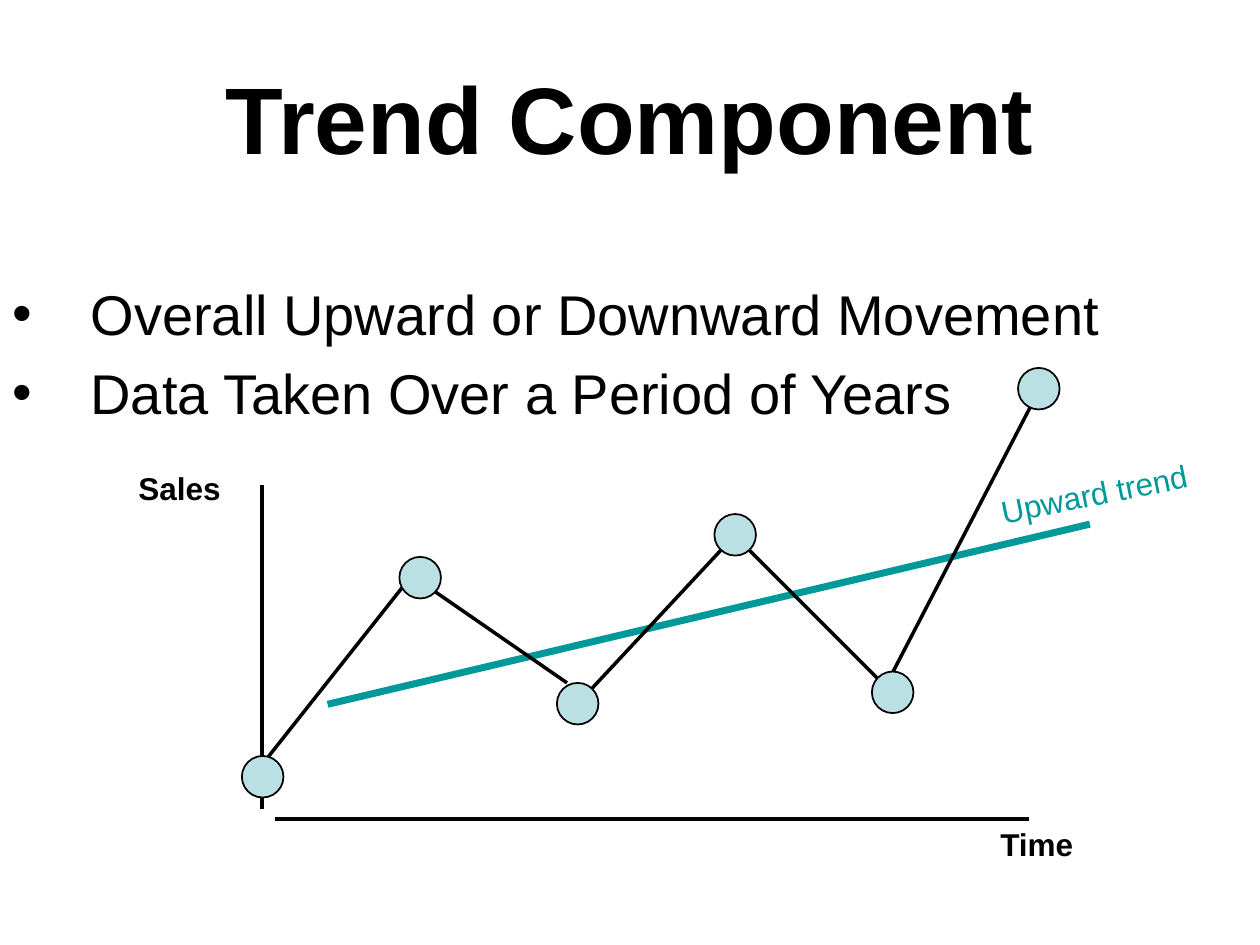
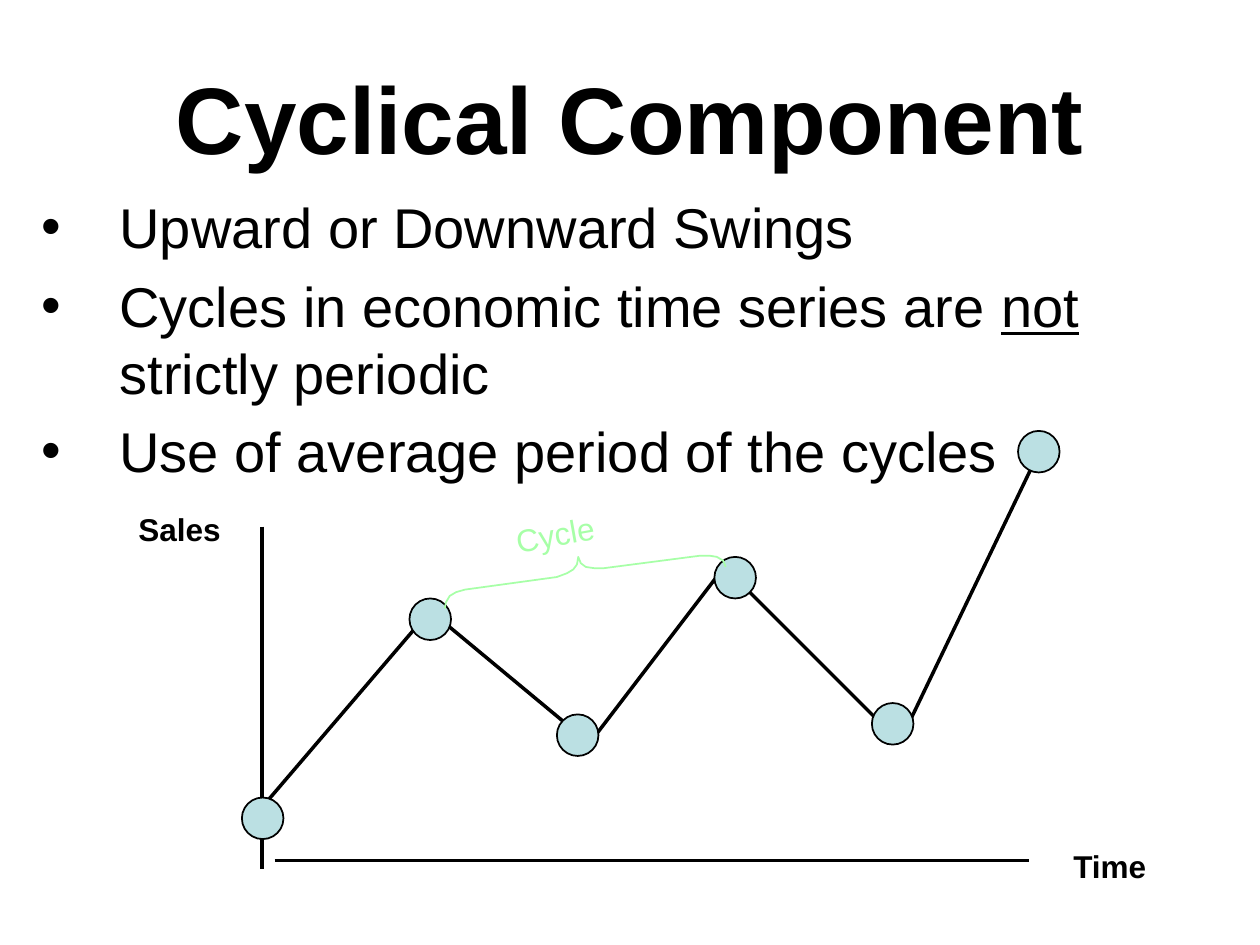
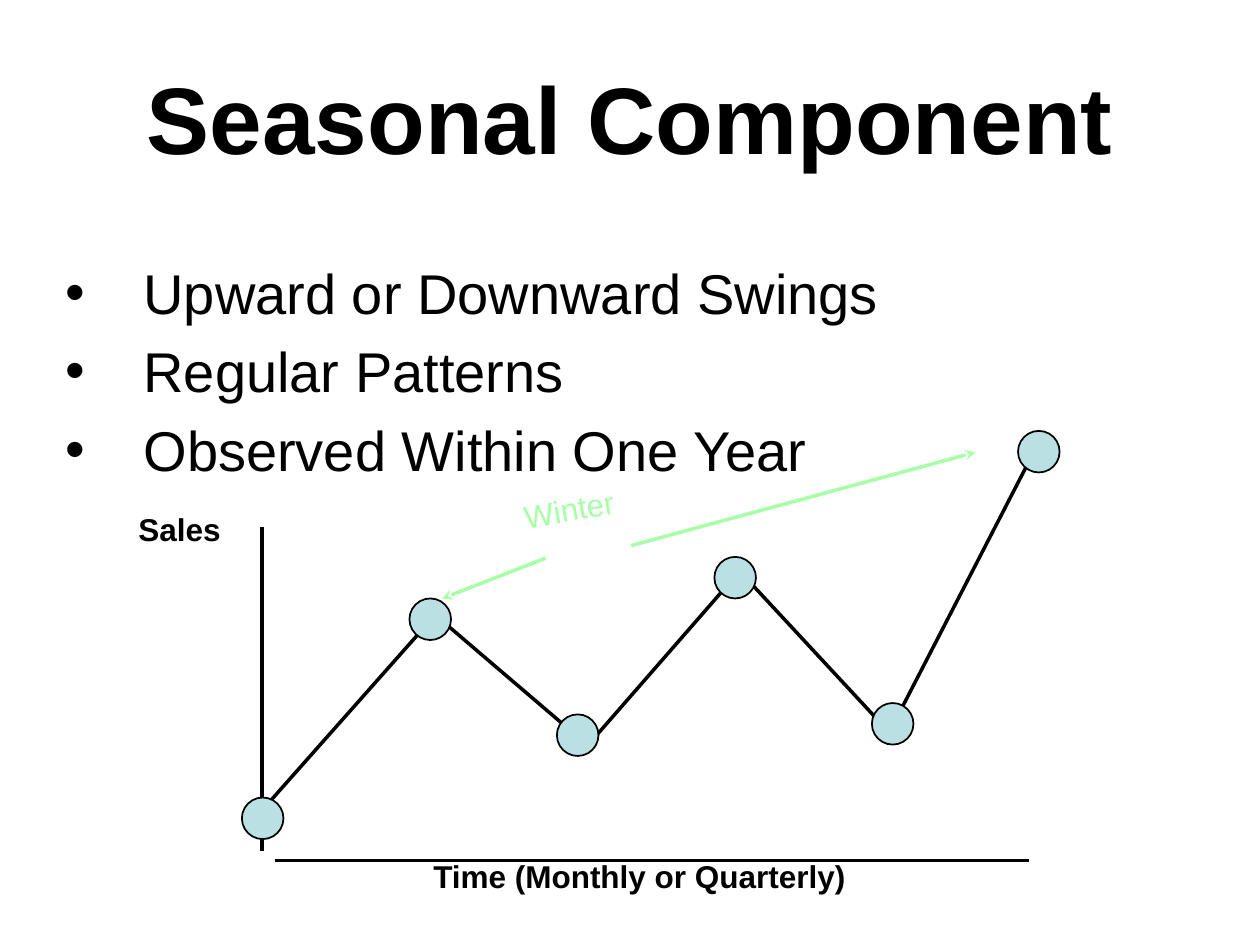
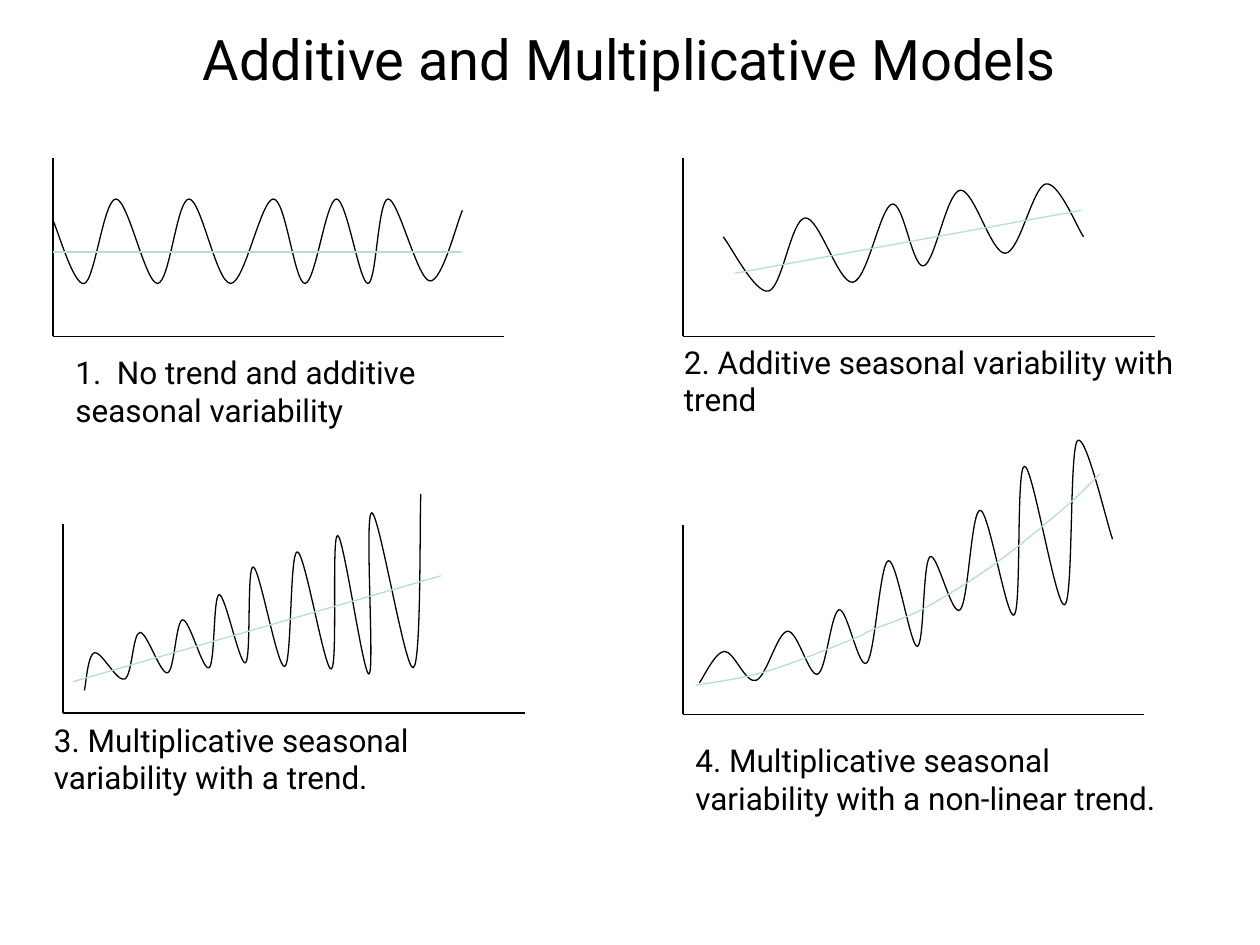
import dataclasses

import lxml.etree
import pptx
import pptx.dml.color
import pptx.enum.shapes
import pptx.enum.text
import pptx.oxml.ns
import pptx.util

PX = 9144  # EMU per px, 100 px to the inch
MARKER = 33
ALIGN = pptx.enum.text.PP_ALIGN
qn = pptx.oxml.ns.qn


@dataclasses.dataclass(frozen=True)
class Theme:
    ink: str = "000000"
    marker: str = "BBE0E3"
    trend: str = "009999"
    note: str = "A7FFA7"
    level: str = "B6DCDF"
    font: str = "Arial"
    model_font: str = "Roboto"
    title_size: int = 54
    body_size: int = 32
    label_size: int = 18
    thin: float = 0.75
    outline: float = 1
    medium: float = 2
    thick: float = 4


def emu(*lengths):
    return [round(length * PX) for length in lengths]


def rgb(color):
    return pptx.dml.color.RGBColor.from_string(color)


def child(parent, tag, **attributes):
    return lxml.etree.SubElement(parent, qn(tag), attributes)


def smooth(sp):
    """Bend each segment into a cubic whose tangents follow the neighbouring points."""
    path = next(sp._element.iter(qn("a:path")))
    points = [(int(pt.get("x")), int(pt.get("y"))) for pt in path.iter(qn("a:pt"))]
    last = len(points) - 1

    def control(i, side):
        before, after = points[max(i - 1, 0)], points[min(i + 1, last)]
        return [round(points[i][k] + side * (after[k] - before[k]) / 6) for k in (0, 1)]

    for segment in path.findall(qn("a:lnTo")):
        path.remove(segment)
    for i in range(last):
        curve = child(path, "a:cubicBezTo")
        for x, y in (control(i, 1), control(i + 1, -1), points[i + 1]):
            child(curve, "a:pt", x=str(x), y=str(y))


class Deck:
    def __init__(self, theme):
        self.theme = theme
        self.prs = pptx.Presentation()
        self.prs.slide_width, self.prs.slide_height = emu(1000, 750)
        self.s = None

    def run(self, p, text, size, color=None, bold=False, underline=None, font=None):
        r = p.add_run()
        r.text = text
        r.font.name = font or self.theme.font
        r.font.size = pptx.util.Pt(size)
        r.font.bold = bold
        r.font.underline = underline
        r.font.color.rgb = rgb(color or self.theme.ink)

    def slide(self, title, box, size, **style):
        self.s = self.prs.slides.add_slide(self.prs.slide_layouts[5])
        sp = self.s.shapes.title
        sp.left, sp.top, sp.width, sp.height = emu(*box)
        tf = sp.text_frame
        tf.auto_size = pptx.enum.text.MSO_AUTO_SIZE.NONE
        tf.vertical_anchor = pptx.enum.text.MSO_ANCHOR.MIDDLE
        p = tf.paragraphs[0]
        p.alignment = ALIGN.CENTER
        self.run(p, title, size, **style)

    def text_box(self, box):
        sp = self.s.shapes.add_textbox(*emu(*box))
        sp.text_frame.word_wrap = True
        return sp

    def label(self, text, box, rotation=0, align=ALIGN.LEFT, **style):
        sp = self.text_box(box)
        sp.rotation = rotation
        sp.text_frame.auto_size = pptx.enum.text.MSO_AUTO_SIZE.SHAPE_TO_FIT_TEXT
        p = sp.text_frame.paragraphs[0]
        p.alignment = align
        self.run(p, text, self.theme.label_size, **style)

    def bullets(self, items, box):
        """Each item is a tuple of runs; every second run is underlined."""
        tf = self.text_box(box).text_frame
        indent = emu(62)[0]
        for i, runs in enumerate(items):
            p = tf.paragraphs[0] if i == 0 else tf.add_paragraph()
            p.space_before = pptx.util.Pt(0.2 * self.theme.body_size)
            pPr = p._p.get_or_add_pPr()
            pPr.set("marL", str(indent))
            pPr.set("indent", str(-indent))
            child(pPr, "a:buFont", typeface=self.theme.font)
            child(pPr, "a:buChar", char="•")
            for n, text in enumerate(runs):
                self.run(p, text, self.theme.body_size, underline=True if n % 2 else None)

    def line(self, start, end, color=None, width=None, arrow=False):
        sp = self.s.shapes.add_connector(
            pptx.enum.shapes.MSO_CONNECTOR.STRAIGHT, *emu(*start, *end))
        sp.line.color.rgb = rgb(color or self.theme.ink)
        sp.line.width = pptx.util.Pt(width or self.theme.medium)
        spPr = sp._element.spPr
        if arrow:
            child(spPr.find(qn("a:ln")), "a:tailEnd", type="stealth")
        child(spPr, "a:effectLst")

    def marker(self, left, top):
        sp = self.s.shapes.add_shape(
            pptx.enum.shapes.MSO_SHAPE.OVAL, *emu(left, top, MARKER, MARKER))
        sp.shadow.inherit = False
        sp.fill.solid()
        sp.fill.fore_color.rgb = rgb(self.theme.marker)
        sp.line.color.rgb = rgb(self.theme.ink)
        sp.line.width = pptx.util.Pt(self.theme.outline)

    def outline(self, points, color=None, width=None):
        start, *rest = [emu(*point) for point in points]
        builder = self.s.shapes.build_freeform(*start)
        builder.add_line_segments(rest, close=False)
        sp = builder.convert_to_shape()
        sp.shadow.inherit = False
        sp.fill.background()
        sp.line.color.rgb = rgb(color or self.theme.ink)
        sp.line.width = pptx.util.Pt(width or self.theme.thin)
        return sp

    def component(self, title, items, body, axis, time, segments, markers, trend=None):
        """Slide with bullets above a sales chart; axis is the vertical span and the base line."""
        self.slide(title, (50, 30, 900, 125), self.theme.title_size, bold=True)
        self.bullets(items, body)
        top, bottom, base = axis
        self.line((208, top), (208, bottom))
        self.line((218, base), (817, base))
        self.label("Sales", (100, top - 18, 158, 50), bold=True)
        self.label(*time, bold=True)
        if trend:
            self.line(*trend, color=self.theme.trend, width=self.theme.thick)
        for start, end in segments:
            self.line(start, end)
        for left, top in markers:
            self.marker(left, top)

    def model(self, caption, box, origin, top, right, wave, level):
        """Small axes with a seasonal wave, its level line and a caption."""
        x, base = origin
        thin = self.theme.thin
        self.line((x, top), origin, width=thin)
        self.line(origin, (right, base), width=thin)
        smooth(self.outline(wave))
        if len(level) == 2:
            self.line(*level, color=self.theme.level, width=thin)
        else:
            smooth(self.outline(level, color=self.theme.level))
        self.label(caption, box, font=self.theme.model_font)


CYCLE_MARKERS = [(192, 633), (325, 475), (442, 567), (567, 442), (692, 558), (808, 342)]
BRACE = [(576, 450), (574, 445), (569, 442), (563, 441), (556, 441), (479, 451), (472, 451),
         (465, 450), (461, 447), (459, 442), (458, 448), (455, 452), (450, 455), (442, 458),
         (369, 468), (362, 470), (357, 473), (354, 478), (353, 483)]

MODELS = [
    dict(caption="1.  No trend and additive seasonal variability", box=(50, 275, 358, 71),
         origin=(42, 267), top=125, right=400, level=[(42, 200), (367, 200)],
         wave=[(42, 175), (67, 225), (92, 158), (125, 225), (150, 158), (183, 225), (217, 158),
               (242, 225), (267, 158), (292, 225), (308, 158), (341, 223), (367, 167)]),
    dict(caption="2. Additive seasonal variability with trend", box=(533, 267, 417, 71),
         origin=(542, 267), top=125, right=917, level=[(583, 217), (858, 167)],
         wave=[(574, 188), (610, 231), (639, 173), (677, 224), (708, 162), (733, 211),
               (762, 151), (798, 201), (830, 146), (860, 188)]),
    dict(caption="3. Multiplicative seasonal variability with a trend.", box=(33, 567, 408, 71),
         origin=(50, 566), top=416, right=417, level=[(58, 541), (350, 457)],
         wave=[(67, 548), (75, 518), (99, 539), (111, 502), (133, 534), (145, 492), (166, 530),
               (174, 472), (195, 526), (201, 450), (226, 529), (236, 438), (263, 531),
               (268, 425), (293, 535), (295, 407), (328, 530), (334, 392)]),
    dict(caption="4. Multiplicative seasonal variability with a non-linear trend.",
         box=(542, 583, 408, 71), origin=(542, 567), top=417, right=908,
         level=[(552, 544), (608, 533), (675, 508), (692, 500), (733, 483), (789, 448),
                (846, 402), (873, 376)],
         wave=[(555, 542), (575, 517), (600, 540), (625, 501), (649, 535), (666, 484),
               (688, 526), (705, 445), (728, 513), (738, 442), (762, 484), (778, 405),
               (805, 488), (813, 370), (845, 480), (855, 350), (883, 428)]),
]


def main():
    theme = Theme()
    deck = Deck(theme)

    deck.component(
        "Trend Component",
        [("Overall Upward or Downward Movement",), ("Data Taken Over a Period of Years",)],
        body=(0, 217, 958, 450), axis=(385, 642, 650), time=("Time", (784, 650, 158, 50)),
        segments=[((200, 617), (325, 459)), ((343, 468), (450, 542)), ((459, 558), (583, 425)),
                  ((593, 435), (700, 542)), ((700, 550), (825, 309))],
        markers=[(192, 600), (317, 442), (442, 542), (567, 408), (692, 533), (808, 292)],
        trend=((260, 559), (865, 416)))
    deck.label("Upward trend", (784, 367, 216, 50), rotation=348.7, color=theme.trend)

    deck.component(
        "Cyclical Component",
        [("Upward or Downward Swings",),
         ("Cycles in economic time series are ", "not", " strictly periodic"),
         ("Use of average period of the cycles",)],
        body=(23, 148, 958, 450), axis=(418, 690, 683), time=("Time", (842, 667, 158, 50)),
        segments=[((200, 650), (342, 484)), ((350, 492), (450, 575)), ((467, 591), (574, 451)),
                  ((593, 468), (700, 575)), ((717, 583), (825, 358))],
        markers=CYCLE_MARKERS)
    deck.outline(BRACE, color=theme.note, width=theme.outline)
    deck.label("Cycle", (400, 400, 125, 50), rotation=350, color=theme.note)

    deck.component(
        "Seasonal Component",
        [("Upward or Downward Swings",), ("Regular Patterns",), ("Observed Within One Year",)],
        body=(42, 200, 958, 450), axis=(418, 675, 683),
        time=("Time (Monthly or Quarterly)", (334, 675, 491, 50)),
        segments=[((209, 642), (342, 492)), ((350, 492), (467, 592)), ((467, 591), (583, 458)),
                  ((584, 450), (700, 575)), ((709, 575), (825, 350))],
        markers=CYCLE_MARKERS)
    deck.label("Winter", (367, 384, 171, 50), rotation=350, align=ALIGN.CENTER, color=theme.note)
    for start, end in [((433, 443), (351, 475)), ((501, 433), (774, 359))]:
        deck.line(start, end, color=theme.note, arrow=True)

    deck.slide("Additive and Multiplicative Models", (75, 0, 850, 92), theme.body_size,
               font=theme.model_font)
    for model in MODELS:
        deck.model(**model)

    deck.prs.save("out.pptx")


if __name__ == "__main__":
    main()
